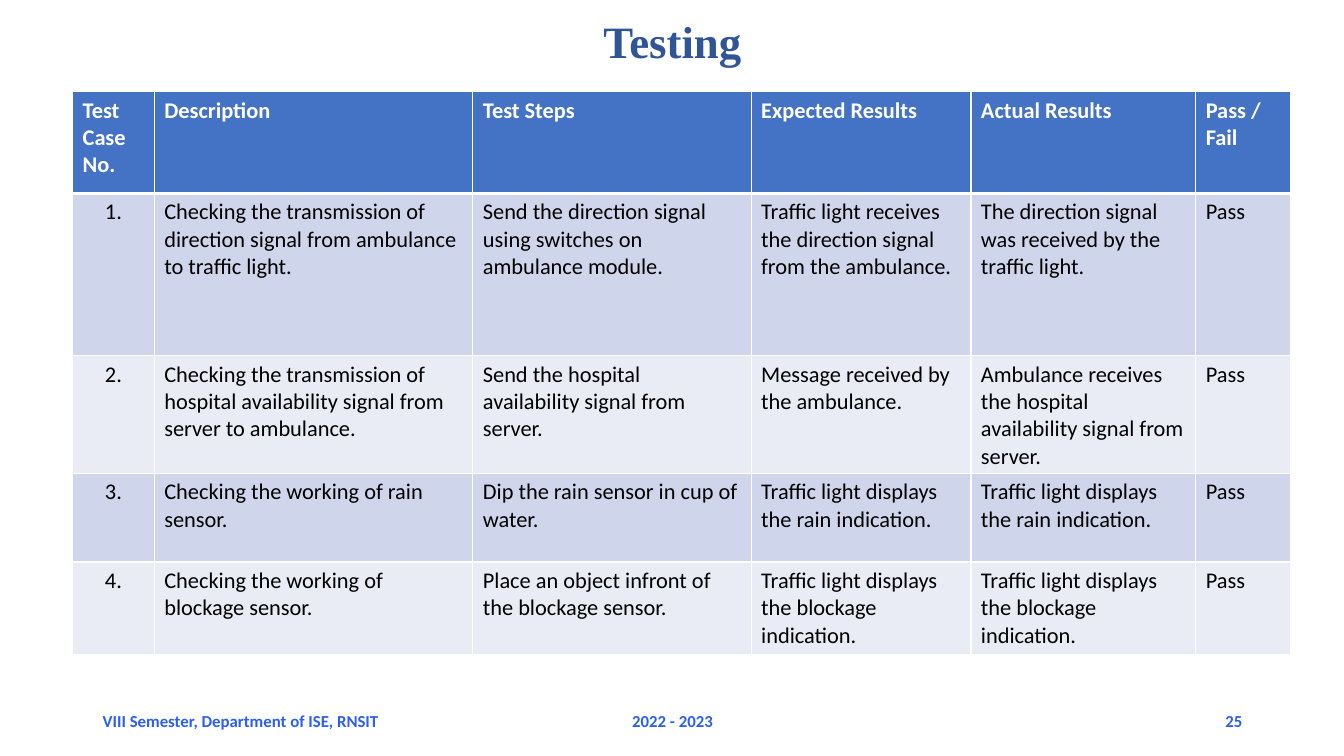
from lxml.etree import SubElement
from pptx import Presentation
from pptx.dml.color import RGBColor
from pptx.enum.text import MSO_ANCHOR, PP_ALIGN
from pptx.oxml.ns import qn
from pptx.util import Emu, Pt

PX = 9144
WHITE, BLACK = "FFFFFF", "000000"
TITLE_BLUE, FOOTER_BLUE, HEADER_BLUE = "2F5597", "2B5FF3", "4472C4"
BANDS = ("CFD5EA", "E9EBF5")

COLUMN_WIDTHS = (81, 316, 276, 218, 223, 94)
ROW_HEIGHTS = (101, 161, 110, 88, 92)
HEADINGS = ("Test Case No.", "Description", "Test Steps",
            "Expected Results", "Actual Results", "Pass / Fail")
TEST_CASES = (
    ("1.", "Checking the transmission of direction signal from ambulance to traffic light.",
     "Send the direction signal using switches on ambulance module.",
     "Traffic light receives the direction signal from the ambulance.",
     "The direction signal was received by the traffic light.", "Pass"),
    ("2.", "Checking the transmission of hospital availability signal from server to ambulance.",
     "Send the hospital availability signal from server.",
     "Message received by the ambulance.",
     "Ambulance receives the hospital availability signal from server.", "Pass"),
    ("3.", "Checking the working of rain sensor.",
     "Dip the rain sensor in cup of water.",
     "Traffic light displays the rain indication.",
     "Traffic light displays the rain indication.", "Pass"),
    ("4.", "Checking the working of blockage sensor.",
     "Place an object infront of the blockage sensor.",
     "Traffic light displays the blockage indication.",
     "Traffic light displays the blockage indication.", "Pass"),
)
FOOTERS = (
    (92, 350, "VIII Semester, Department of ISE, RNSIT", PP_ALIGN.LEFT),
    (442, 450, "2022 - 2023", PP_ALIGN.CENTER),
    (942, 300, "25", PP_ALIGN.RIGHT),
)


def px(length):
    return Emu(length * PX)


def color(hex_code):
    return RGBColor.from_string(hex_code)


class SlideWriter:
    """Draws styled text and tables on one slide."""

    def __init__(self, slide, font="Calibri"):
        self.slide = slide
        self.font = font

    def style(self, paragraph, size, ink, bold, align, font=None):
        paragraph.alignment = align
        paragraph.font.name = font or self.font
        paragraph.font.size = Pt(size)
        paragraph.font.bold = bold
        paragraph.font.color.rgb = color(ink)

    def text(self, box, words, size, ink, align, font=None,
             anchor=MSO_ANCHOR.MIDDLE, line_spacing=None):
        frame = self.slide.shapes.add_textbox(*map(px, box)).text_frame
        frame.word_wrap = True
        frame.vertical_anchor = anchor
        paragraph = frame.paragraphs[0]
        paragraph.text = words
        paragraph.line_spacing = line_spacing
        self.style(paragraph, size, ink, True, align, font)

    def borders(self, cell, top, bottom):
        properties = cell._tc.get_or_add_tcPr()
        for side, width in (("L", 1), ("R", 1), ("T", top), ("B", bottom)):
            line = SubElement(properties, qn(f"a:ln{side}"), w=str(Pt(width)))
            fill = SubElement(line, qn("a:solidFill"))
            SubElement(fill, qn("a:srgbClr"), val=WHITE)

    def table(self, left, top, widths, heights, rows):
        box = map(px, (left, top, sum(widths), sum(heights)))
        table = self.slide.shapes.add_table(len(rows), len(widths), *box).table
        for column, width in zip(table.columns, widths):
            column.width = px(width)
        for row, height in zip(table.rows, heights):
            row.height = px(height)
        for r, row in enumerate(rows):
            header = r == 0
            for c, words in enumerate(row):
                cell = table.cell(r, c)
                cell.text = words
                self.borders(cell, 3 if r == 1 else 1, 3 if header else 1)
                cell.fill.solid()
                cell.fill.fore_color.rgb = color(HEADER_BLUE if header else BANDS[(r - 1) % 2])
                numbered = c == 0 and not header
                self.style(cell.text_frame.paragraphs[0], 16,
                           WHITE if header else BLACK, header,
                           PP_ALIGN.CENTER if numbered else PP_ALIGN.LEFT)


def main():
    deck = Presentation()
    deck.slide_width, deck.slide_height = px(1333), px(750)
    writer = SlideWriter(deck.slides.add_slide(deck.slide_layouts[6]))
    writer.text((92, 15, 1150, 76), "Testing", 32, TITLE_BLUE, PP_ALIGN.CENTER,
                "Times New Roman", MSO_ANCHOR.TOP, 0.9)
    for left, width, words, align in FOOTERS:
        writer.text((left, 695, width, 40), words, 12, FOOTER_BLUE, align)
    writer.table(72, 91, COLUMN_WIDTHS, ROW_HEIGHTS, (HEADINGS, *TEST_CASES))
    deck.save("out.pptx")


if __name__ == "__main__":
    main()
